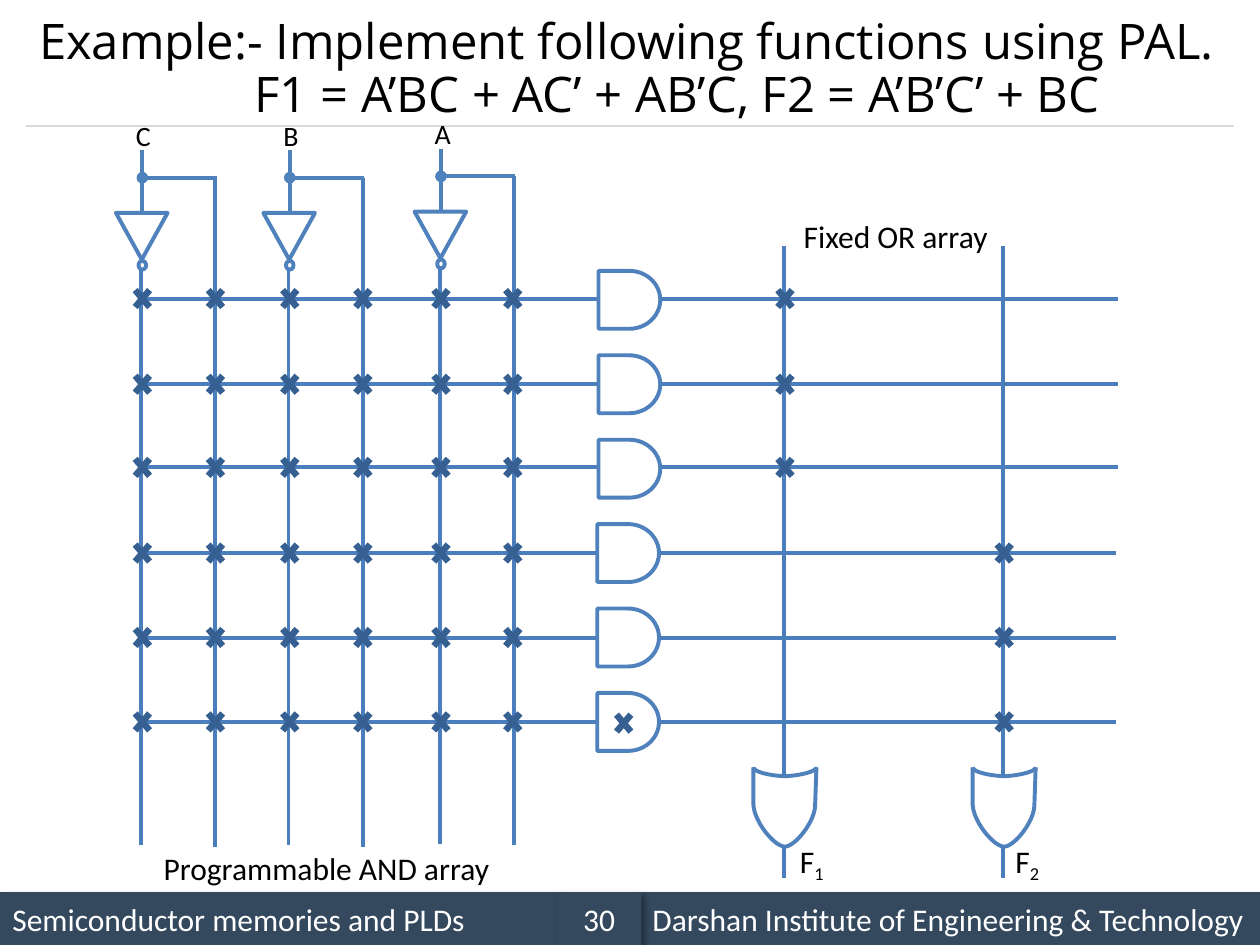
from lxml import etree
from pptx import Presentation
from pptx.dml.color import RGBColor
from pptx.enum.shapes import MSO_CONNECTOR, MSO_SHAPE
from pptx.enum.text import MSO_ANCHOR, MSO_AUTO_SIZE, PP_ALIGN
from pptx.oxml.ns import qn
from pptx.util import Inches, Pt

BLACK = RGBColor(0x00, 0x00, 0x00)
WHITE = RGBColor(0xFF, 0xFF, 0xFF)
GREY = RGBColor(0xD9, 0xD9, 0xD9)
FOOTER = RGBColor(0x34, 0x49, 0x5E)
OUTLINE = RGBColor(0x4F, 0x81, 0xBD)
WIRE = RGBColor(0x4B, 0x7E, 0xBC)
CROSS = RGBColor(0x37, 0x60, 0x92)

ROWS = [2.37, 3.05, 3.71, 4.39, 5.06, 5.73]
INPUTS = [("C", 1.13, 1.41), ("B", 2.3, 1.41), ("A", 3.5, 1.4)]
COLUMNS = [1.13, 1.71, 2.3, 2.88, 3.5, 4.07]
OUTPUTS = [("1", 6.22, ROWS[:3]), ("2", 7.96, ROWS[3:])]


def add_text(paragraph, text, size=18, font="Calibri", color=BLACK, subscript=False):
    run = paragraph.add_run()
    run.text = text
    run.font.size = Pt(size)
    run.font.name = font
    run.font.color.rgb = color
    if subscript:
        run.font._element.set("baseline", "-25000")


def curve_points(start, control1, control2, end, steps=12):
    """Return points along a cubic Bezier curve, without its start."""
    points = []
    for step in range(1, steps + 1):
        t = step / steps
        weights = ((1 - t) ** 3, 3 * t * (1 - t) ** 2, 3 * t * t * (1 - t), t ** 3)
        corners = (start, control1, control2, end)
        points.append(tuple(sum(w * c[axis] for w, c in zip(weights, corners))
                            for axis in (0, 1)))
    return points


class Diagram:
    line_width = Pt(2.25)

    def __init__(self, slide):
        self.slide = slide
        self.shapes = slide.shapes

    def title(self, first, second):
        title = self.shapes.title
        title.left, title.top, title.width, title.height = map(Inches, (0.21, 0.12, 9.58, 0.88))
        frame = title.text_frame
        frame.auto_size = MSO_AUTO_SIZE.NONE
        frame.vertical_anchor = MSO_ANCHOR.MIDDLE
        for paragraph, text in ((frame.paragraphs[0], first), (frame.add_paragraph(), second)):
            paragraph.alignment = PP_ALIGN.LEFT
            paragraph.line_spacing = 0.9
            add_text(paragraph, text, size=28, font="Open Sans")
        paragraph._p.get_or_add_pPr().set("marL", str(Inches(1.71)))

    def line(self, start, end, color=WIRE, width=line_width, oval_end=False):
        connector = self.shapes.add_connector(MSO_CONNECTOR.STRAIGHT, *map(Inches, start + end))
        connector.line.color.rgb = color
        connector.line.width = width
        properties = connector._element.spPr
        if oval_end:
            etree.SubElement(properties.find(qn("a:ln")), qn("a:tailEnd"), type="oval")
        etree.SubElement(properties, qn("a:effectLst"))

    def shape(self, kind, left, top, width, height, fill=None, rotation=0):
        """Add a filled shape, or an outlined one when there is no fill."""
        shape = self.shapes.add_shape(kind, *map(Inches, (left, top, width, height)))
        shape.rotation = rotation
        self.paint(shape, fill)
        return shape

    def paint(self, shape, fill=None):
        shape.shadow.inherit = False
        if fill is None:
            shape.fill.background()
            shape.line.color.rgb = OUTLINE
            shape.line.width = self.line_width
        else:
            shape.fill.solid()
            shape.fill.fore_color.rgb = fill
            shape.line.fill.background()

    def cross(self, x, y):
        self.shape(MSO_SHAPE.MATH_MULTIPLY, x - 0.11, y - 0.13, 0.22, 0.26, fill=CROSS)

    def label(self, text, left, top, width, height=0.4, size=18, subscript=""):
        box = self.shapes.add_textbox(*map(Inches, (left, top, width, height)))
        box.text_frame.word_wrap = True
        paragraph = box.text_frame.paragraphs[0]
        add_text(paragraph, text, size=size)
        if subscript:
            add_text(paragraph, subscript, size=size, subscript=True)

    def footer(self, text, left, top, width, alignment=PP_ALIGN.LEFT):
        shape = self.shape(MSO_SHAPE.RECTANGLE, left, top, width, 0.42, fill=FOOTER)
        effects = shape._element.spPr.find(qn("a:effectLst"))
        shadow = etree.SubElement(effects, qn("a:outerShdw"), blurRad=str(Pt(4)),
                                  dist=str(Pt(3)), dir="2700000", algn="tl", rotWithShape="0")
        color = etree.SubElement(shadow, qn("a:srgbClr"), val="000000")
        etree.SubElement(color, qn("a:alpha"), val="40000")
        shape.text_frame.vertical_anchor = MSO_ANCHOR.MIDDLE
        paragraph = shape.text_frame.paragraphs[0]
        paragraph.alignment = alignment
        add_text(paragraph, text, color=WHITE)

    def outline(self, points):
        vertices = [(Inches(x), Inches(y)) for x, y in points]
        builder = self.shapes.build_freeform(*vertices[0], scale=1.0)
        builder.add_line_segments(vertices[1:], close=False)
        self.paint(builder.convert_to_shape())

    def or_gate(self, x):
        left, right, tip = (x - 0.24, 6.09), (x + 0.26, 6.09), (x + 0.01, 6.72)
        body = [right, (x + 0.25, 6.39)]
        body += curve_points(body[-1], (x + 0.25, 6.52), (x + 0.09, 6.72), tip)
        body += curve_points(tip, (x - 0.07, 6.72), (x - 0.23, 6.53), (x - 0.24, 6.39))
        self.outline(body + [left])
        middle = (x + 0.01, 6.16)
        top = [left] + curve_points(left, (x - 0.24, 6.13), (x - 0.08, 6.16), middle)
        top += curve_points(middle, (x + 0.09, 6.16), (x + 0.26, 6.13), right)
        self.outline(top)

    def input(self, name, x, y):
        """Draw an input with its inverter and its true and inverted wires."""
        self.line((x, y - 0.22), (x, y + 0.28), color=OUTLINE)
        self.shape(MSO_SHAPE.OVAL, x - 0.03, y + 0.66, 0.06, 0.07)
        self.shape(MSO_SHAPE.ISOSCELES_TRIANGLE, x - 0.21, y + 0.28, 0.41, 0.37, rotation=180)
        self.line((x + 0.58, y), (x + 0.58, y + 5.31))
        self.line((x + 0.59, y), (x, y), color=OUTLINE, oval_end=True)
        self.line((x - 0.01, y + 0.73), (x - 0.01, y + 5.3))
        self.label(name, x - 0.15, y - 0.52, 0.25, height=0.34, size=16)

    def product_row(self, y, gate_left, gate_top):
        self.line((1.12, y), (4.74, y))
        self.shape(MSO_SHAPE.FLOWCHART_DELAY, gate_left, gate_top, 0.49, 0.46)
        self.line((gate_left + 0.5, y), (gate_left + 4.12, y))
        for x in COLUMNS:
            self.cross(x, y)

    def output(self, number, x, rows):
        self.or_gate(x)
        self.line((x, 1.95), (x, 6.16))
        self.line((x, 6.71), (x, 6.97))
        for y in rows:
            self.cross(x + 0.01, y)


def main():
    presentation = Presentation()
    presentation.slide_width, presentation.slide_height = Inches(10), Inches(7.5)
    diagram = Diagram(presentation.slides.add_slide(presentation.slide_layouts[5]))

    diagram.footer("Semiconductor memories and PLDs", 0, 7.08, 4.42)
    diagram.footer("Darshan Institute of Engineering & Technology", 5.08, 7.08, 4.92)
    diagram.footer("30", 4.42, 7.08, 0.67, alignment=PP_ALIGN.CENTER)
    diagram.line((0.21, 1), (9.79, 1), color=GREY, width=Pt(0.75))
    diagram.title("Example:- Implement following functions using PAL.",
                  "F1 = A’BC + AC’ + AB’C, F2 = A’B’C’ + BC")

    for name, x, y in INPUTS:
        diagram.input(name, x, y)
    for index, y in enumerate(ROWS):
        diagram.product_row(y, 4.75 if index < 3 else 4.74, 2.15 + 0.67 * index)
    for number, x, rows in OUTPUTS:
        diagram.output(number, x, rows)
    diagram.cross(4.95, 5.74)

    diagram.label("Fixed OR array", 6.28, 1.67, 2.32)
    diagram.label("Programmable AND array", 1.2, 6.69, 2.82)
    diagram.label("F", 6.25, 6.63, 0.43, subscript="1")
    diagram.label("F", 7.96, 6.63, 0.43, subscript="2")
    presentation.save("out.pptx")


if __name__ == "__main__":
    main()
